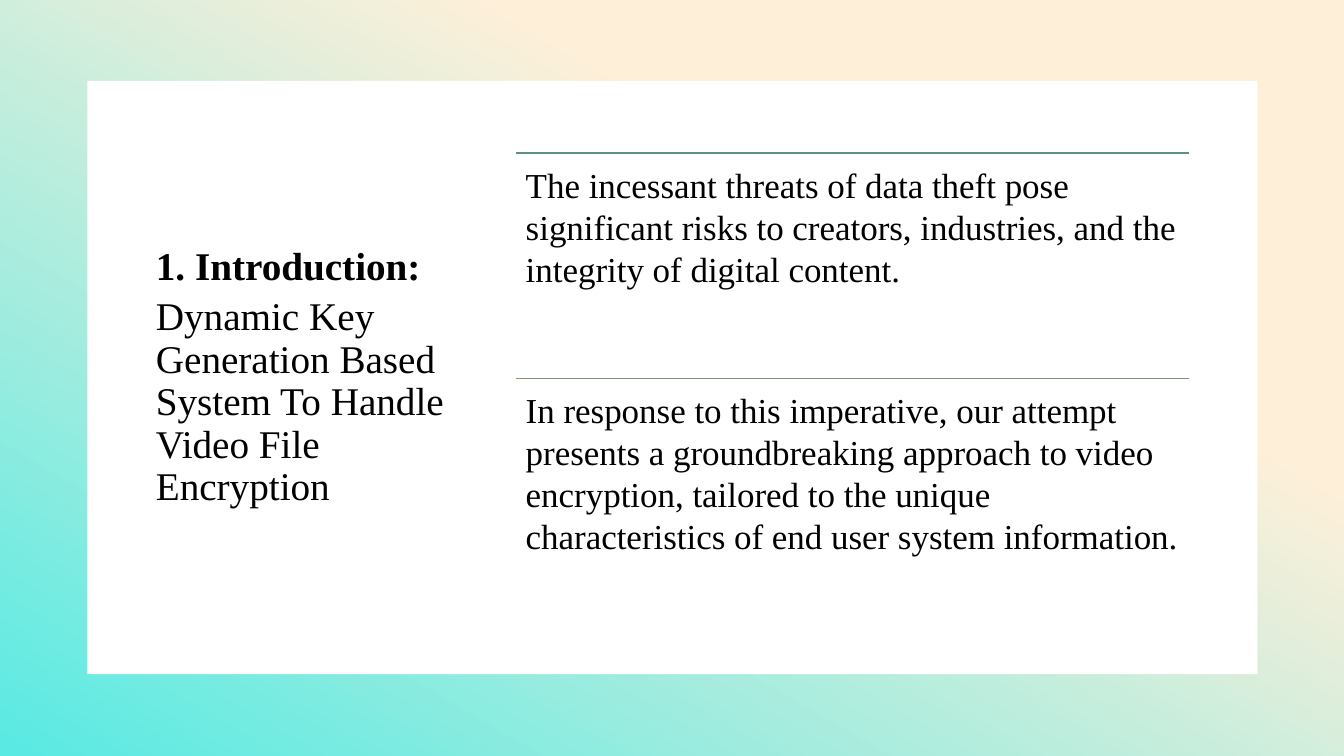
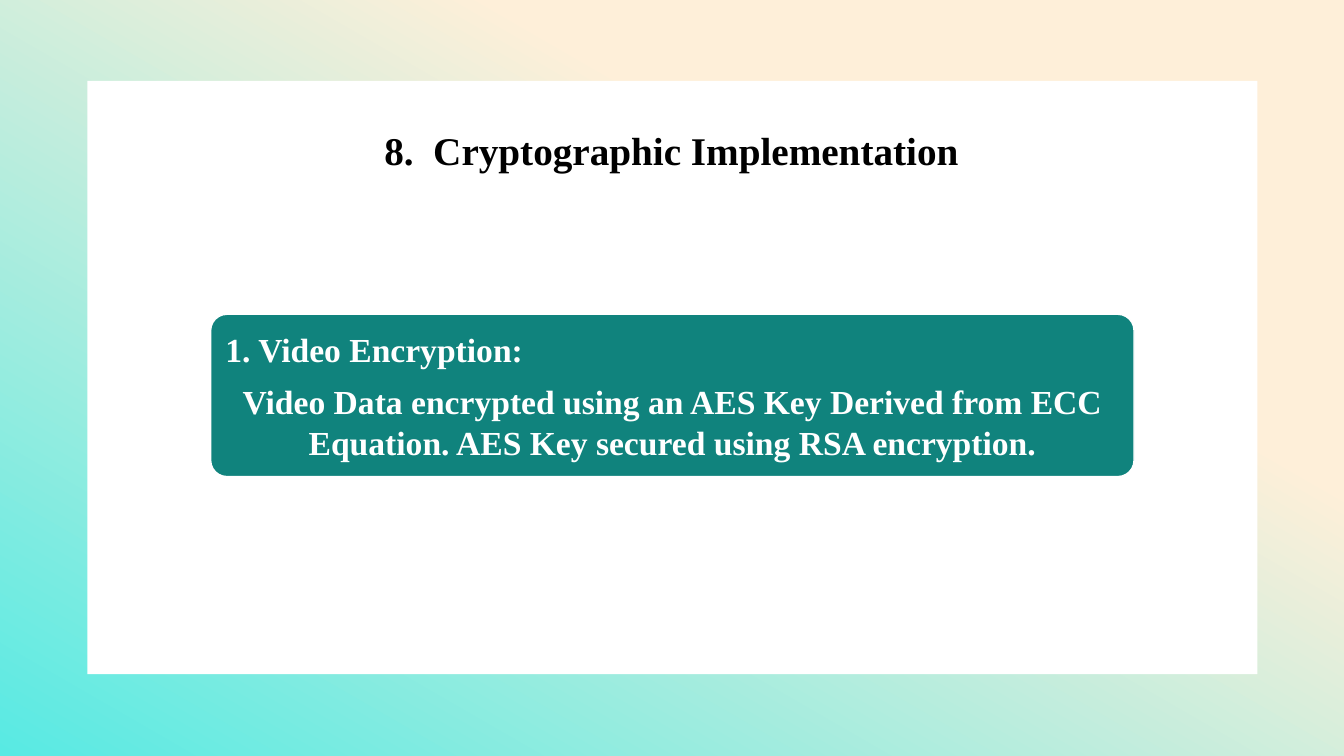
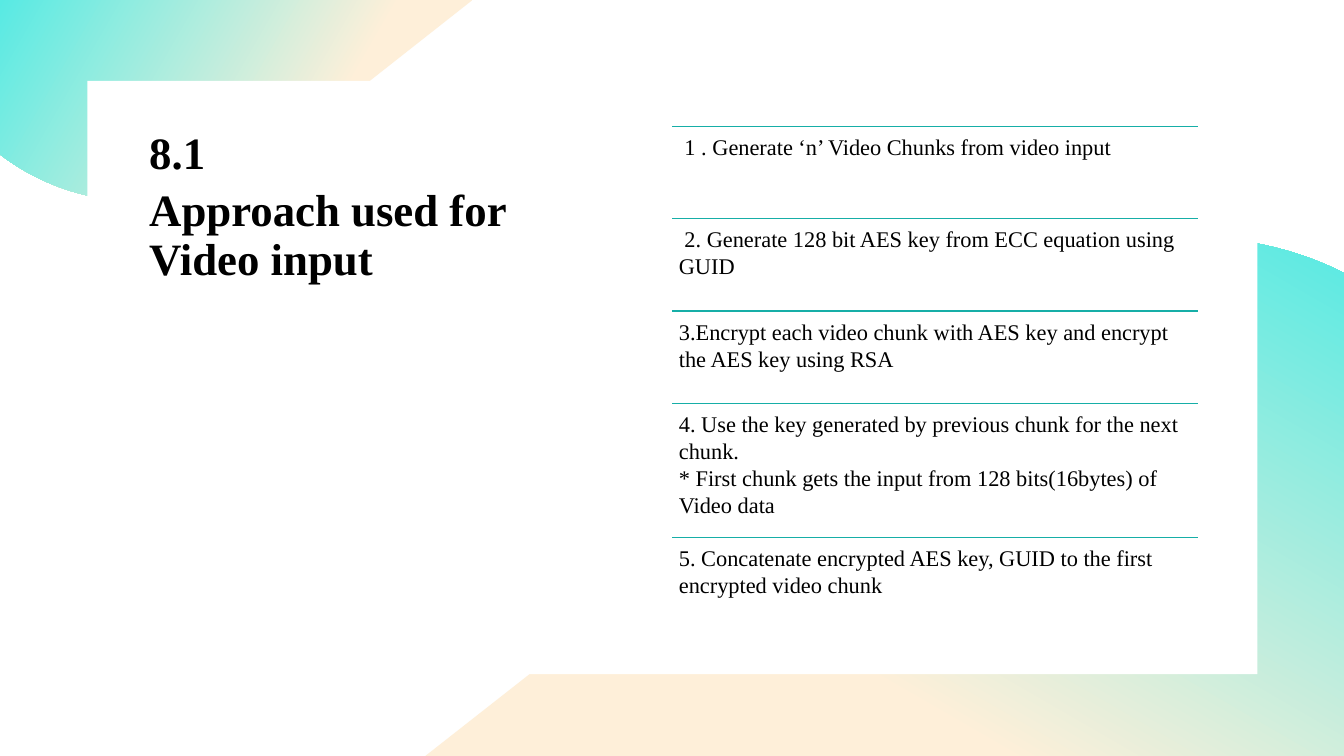
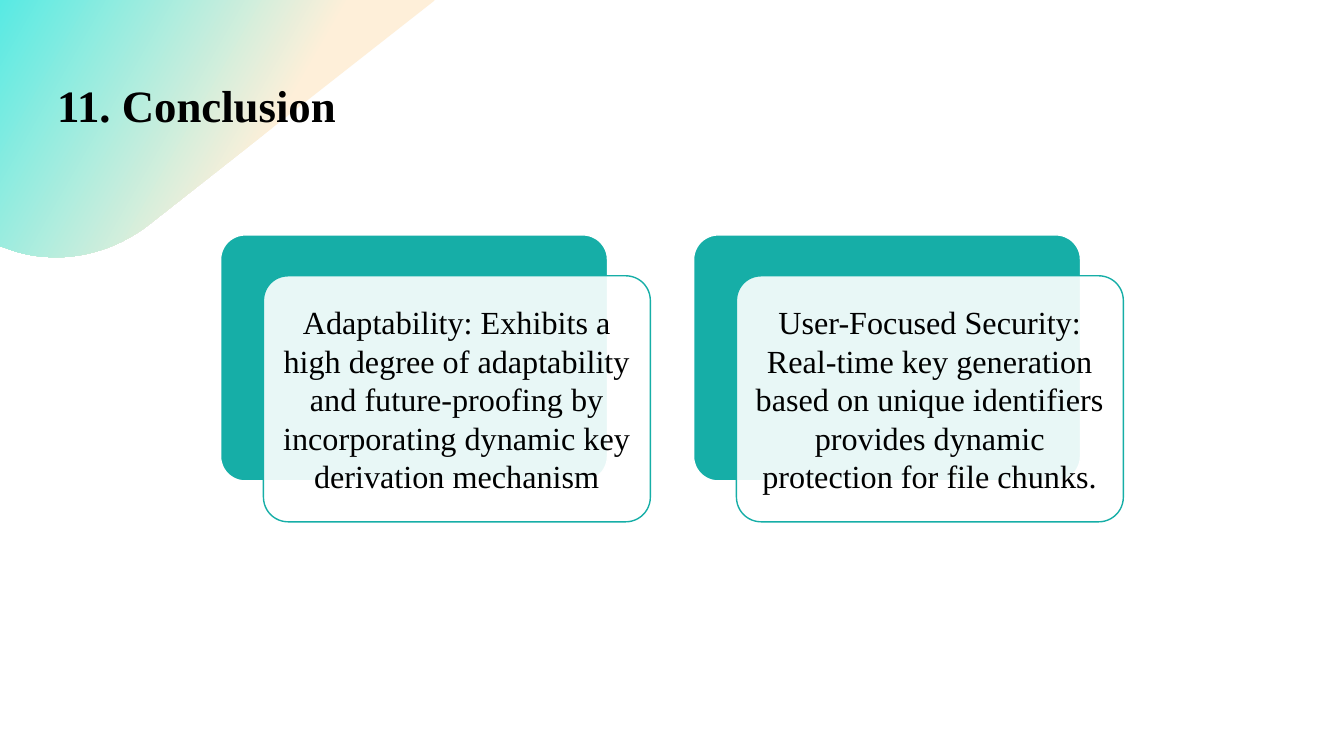
"""Build four slides about a video encryption system."""
from lxml import etree
from pptx import Presentation
from pptx.dml.color import RGBColor
from pptx.enum import dml, shapes, text
from pptx.oxml import ns
from pptx.util import Cm, Pt

WHITE = RGBColor(0xFF, 0xFF, 0xFF)
BLACK = RGBColor(0x00, 0x00, 0x00)
CREAM = RGBColor(0xFE, 0xEF, 0xD9)
AQUA = RGBColor(0x58, 0xEA, 0xE3)
TEAL = RGBColor(0x16, 0xAE, 0xA7)
DEEP_TEAL = RGBColor(0x10, 0x83, 0x7D)
GREY_TEAL = RGBColor(0x61, 0x8F, 0x88)
GREY_GREEN = RGBColor(0x7A, 0x99, 0x73)

FONT = "Times New Roman"
WIDTH, HEIGHT = 33.87, 19.05
LEFT, CENTER = text.PP_ALIGN.LEFT, text.PP_ALIGN.CENTER
TOP, MIDDLE = text.MSO_ANCHOR.TOP, text.MSO_ANCHOR.MIDDLE
TITLE = {"line_spacing": 0.9, "space_after": Pt(6), "alignment": LEFT}

FULL = [(0, 0), (WIDTH, 0), (WIDTH, HEIGHT), (0, HEIGHT)]
CORNER = [
    (0, 0), (11.91, 0), (6.88, 3.96), (6.76, 4.04),
    ((5.84, 4.7), (4.78, 5.03), (3.73, 5.08)), (3.4, 5.08),
    ((2.18, 5.05), (0.99, 4.65), (0, 3.89)),
]
WAVE = [
    (30.3, 5.99), ((31.5, 6.02), (32.66, 6.3), (33.73, 6.81)),
    (WIDTH, 6.88), (WIDTH, HEIGHT), (10.72, HEIGHT), (25.32, 7.59),
    (25.48, 7.47), ((26.8, 6.55), (28.32, 6.07), (29.82, 5.99)),
]
SMALL_CORNER = [
    (1.35, 6.48), ((0.94, 6.48), (0.53, 6.4), (0.15, 6.25)), (0, 6.2),
    (0, 0), (10.97, 0), (3.68, 5.72), (3.61, 5.77),
    ((2.97, 6.22), (2.26, 6.45), (1.57, 6.48)),
]


def flatten(outline, steps=24):
    """Turn points and Bezier triples into a list of points."""
    points = []
    for item in outline:
        if len(item) == 2:
            points.append(item)
            continue
        start, (a, b, end) = points[-1], item
        for i in range(1, steps + 1):
            t = i / steps
            w = ((1 - t) ** 3, 3 * t * (1 - t) ** 2, 3 * t * t * (1 - t), t ** 3)
            points.append(tuple(
                sum(k * c for k, c in zip(w, axis))
                for axis in zip(start, a, b, end)))
    return points


def add_gradient(s, outline, angle, start=0.32):
    """Draw a cream-to-aqua outline."""
    points = [(Cm(x), Cm(y)) for x, y in flatten(outline)]
    builder = s.shapes.build_freeform(*points[0])
    builder.add_line_segments(points[1:], close=True)
    sp = builder.convert_to_shape()
    sp.shadow.inherit = False
    sp.line.fill.background()
    sp.fill.gradient()
    sp.fill.gradient_angle = angle
    stops = zip(sp.fill.gradient_stops, (start, 1), (CREAM, AQUA))
    for stop, position, color in stops:
        stop.position = position
        stop.color.rgb = color


def add_box(s, kind, box, fill, line=None, opacity=None):
    """Draw a filled preset shape."""
    sp = s.shapes.add_shape(kind, *map(Cm, box))
    sp.shadow.inherit = False
    sp.fill.solid()
    sp.fill.fore_color.rgb = fill
    if line is None:
        sp.line.fill.background()
    else:
        sp.line.color.rgb = line
        sp.line.width = Pt(1)
    if opacity is not None:
        color = sp.fill._xPr.find(ns.qn("a:solidFill"))[0]
        etree.SubElement(color, ns.qn("a:alpha"), val=str(opacity * 1000))
    return sp


def add_panel(s):
    """Draw the white content panel."""
    add_box(s, shapes.MSO_SHAPE.RECTANGLE, (2.2, 2.04, 29.49, 14.95), WHITE)


def add_card(s, box, fill, line, opacity=None):
    """Draw a rounded card."""
    kind = shapes.MSO_SHAPE.ROUNDED_RECTANGLE
    sp = add_box(s, kind, box, fill, line, opacity)
    sp.adjustments[0] = 0.1
    return sp


def write(tf, lines, size, bold=False, color=BLACK, anchor=TOP, inset=None,
          para=None):
    """Fill a text frame with paragraphs of one style."""
    tf.word_wrap = True
    tf.vertical_anchor = anchor
    if inset is not None:
        for side in ("left", "right", "top", "bottom"):
            setattr(tf, f"margin_{side}", Cm(inset))
    para = para or {"alignment": LEFT, "space_after": Pt(0.35 * size)}
    font = {"name": FONT, "size": Pt(size), "bold": bold}
    for i, line in enumerate(lines):
        p = tf.add_paragraph() if i else tf.paragraphs[0]
        p.text = line
        for key, value in para.items():
            setattr(p, key, value)
        for r in p.runs:
            for key, value in font.items():
                setattr(r.font, key, value)
            r.font.color.rgb = color


def add_text(s, box, lines, size, **style):
    """Add a text box."""
    tf = s.shapes.add_textbox(*map(Cm, box)).text_frame
    write(tf, lines, size, **style)
    return tf


def add_rule(s, x, y, width, color):
    """Draw a thin horizontal line."""
    line = s.shapes.add_connector(
        shapes.MSO_CONNECTOR.STRAIGHT, Cm(x), Cm(y), Cm(x + width), Cm(y))
    line.line.color.rgb = color
    line.line.width = Pt(1)
    line.line.dash_style = dml.MSO_LINE.SOLID
    etree.SubElement(line._element.spPr, ns.qn("a:effectLst"))


def add_ruled_list(s, x, y, width, rows, size, inset):
    """Stack texts, each under its own line."""
    for content, height, color in rows:
        add_rule(s, x, y, width, color)
        add_text(s, (x, y, width, height), [content], size, inset=inset)
        y += height


def add_introduction(s):
    """Fill the introduction slide."""
    add_gradient(s, FULL, 240)
    add_panel(s)
    tf = add_text(s, (3.68, 5.72, 8.38, 7.59), [
        "1. Introduction:",
        "Dynamic Key Generation Based System To Handle Video File Encryption",
    ], 28, bold=True, anchor=MIDDLE, para=TITLE)
    tf.paragraphs[1].runs[0].font.bold = False
    add_ruled_list(s, 13, 3.86, 16.97, [
        ("The incessant threats of data theft pose significant risks to "
         "creators, industries, and the integrity of digital content.",
         5.67, GREY_TEAL),
        ("In response to this imperative, our attempt presents a "
         "groundbreaking approach to video encryption, tailored to the "
         "unique characteristics of end user system information.",
         5.67, GREY_GREEN),
    ], 25, 0.25)


def add_cryptography(s):
    """Fill the cryptographic implementation slide."""
    add_gradient(s, FULL, 240)
    add_panel(s)
    add_text(s, (5.92, 3.18, 22, 1.6), ["8.  Cryptographic Implementation"],
             28, bold=True, para={**TITLE, "alignment": CENTER})
    card = add_card(s, (5.31, 7.92, 23.27, 4.09), DEEP_TEAL, WHITE)
    write(card.text_frame, [
        "1. Video Encryption:",
        "Video Data encrypted using an AES Key Derived from ECC Equation. "
        "AES Key secured using RSA encryption.",
    ], 24, bold=True, color=WHITE, anchor=MIDDLE, inset=0.25)
    card.text_frame.paragraphs[1].alignment = CENTER


def add_approach(s):
    """Fill the video approach slide."""
    add_gradient(s, CORNER, 150)
    add_gradient(s, WAVE, 60)
    add_panel(s)
    add_text(s, (3.51, 3.18, 10.9, 9.3), ["8.1", "Approach used for Video input"],
             32, bold=True, para=TITLE)
    steps = [
        (" 1 . Generate ‘n’ Video Chunks from video input", 2.33),
        (" 2. Generate 128 bit AES key from ECC equation using GUID", 2.33),
        ("3.Encrypt each video chunk with AES key and encrypt the AES key "
         "using RSA", 2.33),
        ("4. Use the key generated by previous chunk for the next chunk.\n"
         "* First chunk gets the input from 128 bits(16bytes) of Video data",
         3.38),
        ("5. Concatenate encrypted AES key, GUID to the first encrypted "
         "video chunk", 2.33),
    ]
    rows = [(content, height, TEAL) for content, height in steps]
    add_ruled_list(s, 16.94, 3.18, 13.26, rows, 16, 0.17)


def add_conclusion(s):
    """Fill the conclusion slide."""
    add_gradient(s, SMALL_CORNER, 150, start=0.4)
    add_text(s, (1.19, 1.98, 13.97, 2.95), ["11. Conclusion"], 32, bold=True,
             para=TITLE)
    points = [
        "Adaptability: Exhibits a high degree of adaptability and "
        "future-proofing by incorporating dynamic key derivation mechanism",
        "User-Focused Security: Real-time key generation based on unique "
        "identifiers provides dynamic protection for file chunks.",
    ]
    width, height = 9.75, 6.2
    for i, point in enumerate(points):
        x, y = 5.56 + 11.92 * i, 5.92
        add_card(s, (x, y, width, height), TEAL, WHITE)
        front = add_card(s, (x + 1.08, y + 1.03, width, height), WHITE, TEAL, 90)
        write(front.text_frame, [point], 23, anchor=MIDDLE, inset=0.25,
              para={"alignment": CENTER})


def main():
    """Build and save the slides."""
    prs = Presentation()
    prs.slide_width, prs.slide_height = Cm(WIDTH), Cm(HEIGHT)
    for fill in (add_introduction, add_cryptography, add_approach,
                 add_conclusion):
        fill(prs.slides.add_slide(prs.slide_layouts[6]))
    prs.save("out.pptx")


if __name__ == "__main__":
    main()
